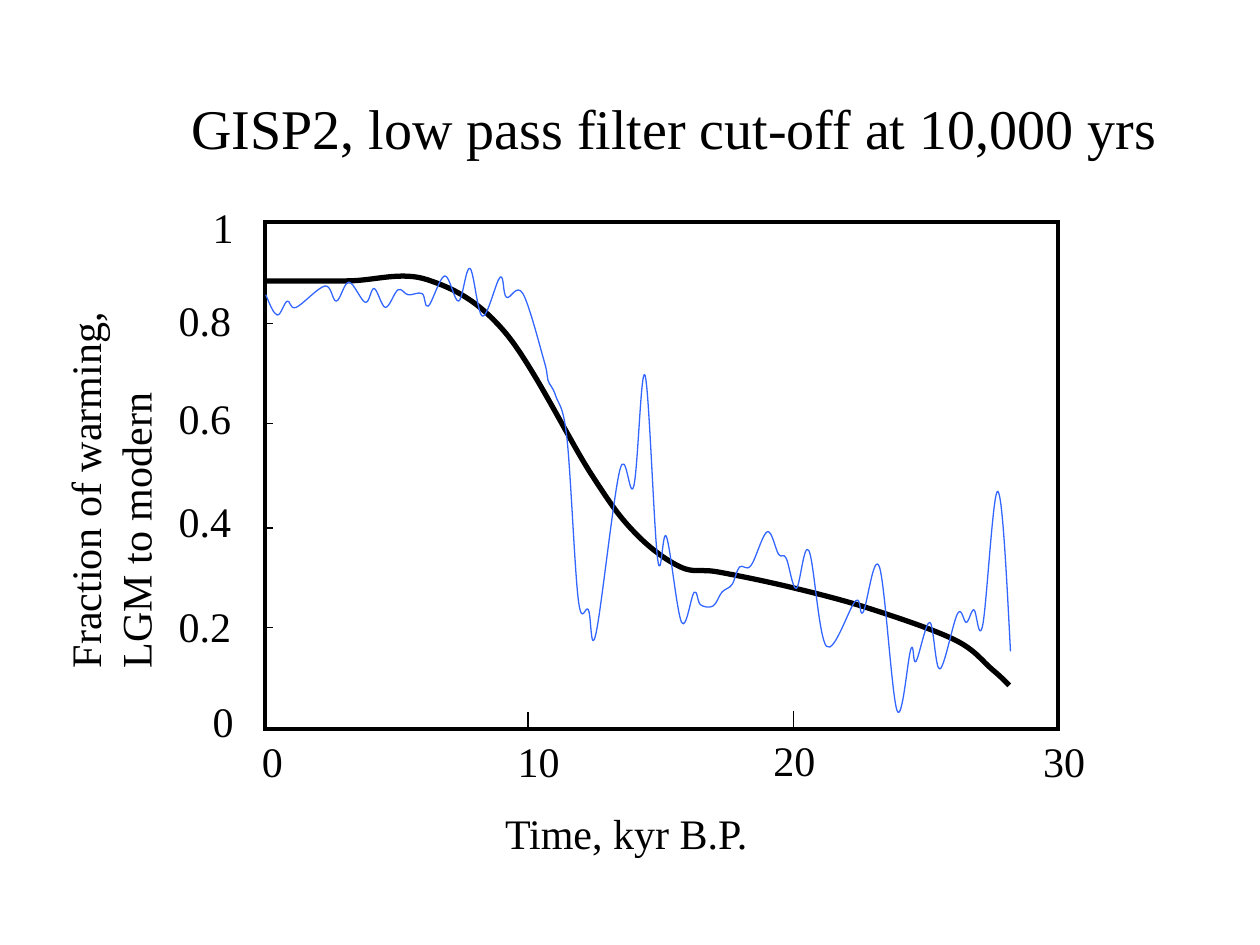
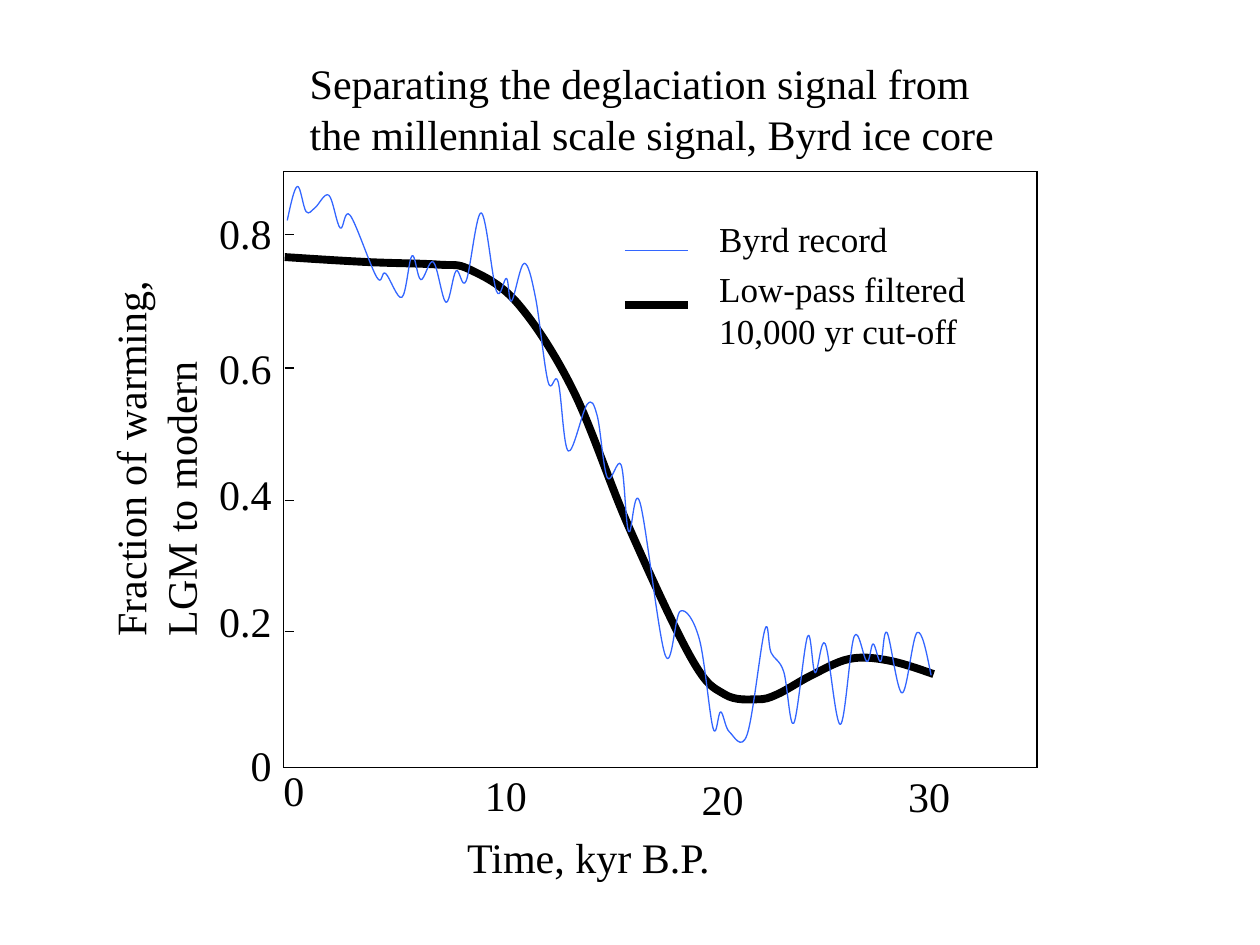
from pptx import Presentation
from pptx.dml.color import RGBColor
from pptx.enum.shapes import MSO_CONNECTOR, MSO_SHAPE
from pptx.enum.text import MSO_AUTO_SIZE
from pptx.oxml.xmlchemy import OxmlElement
from pptx.util import Inches, Pt

COLORS = {"ink": "000000", "record": "3366FF", "paper": "FFFFFF"}
FONT = "Times New Roman"
THIN = 0.75
LABEL_HEIGHT = 0.5
LABEL_WIDTHS = {1: 0.37, 2: 0.54, 3: 0.64}  # by number of characters
FRACTION_TITLE = ["Fraction of warming,", "LGM to modern"]
TIME_TITLE = ["Time, kyr B.P."]

# Curve points in inches on the slide, from oldest to youngest
GISP2_FILTERED = [
    (8.01, 5.44), (7.87, 5.31), (7.58, 5.08), (6.9, 4.83), (6.27, 4.66),
    (5.7, 4.54), (5.4, 4.5), (5.04, 4.23), (4.69, 3.76), (4.01, 2.64),
    (3.39, 2.22), (2.76, 2.23), (2.1, 2.23),
]
GISP2_RECORD = [
    (8.02, 5.17), (7.92, 3.9), (7.8, 4.96), (7.73, 4.84), (7.67, 4.94),
    (7.6, 4.87), (7.46, 5.31), (7.38, 4.94), (7.27, 5.25), (7.23, 5.15),
    (7.12, 5.64), (6.98, 4.5), (6.85, 4.86), (6.79, 4.77), (6.56, 5.13),
    (6.42, 4.37), (6.32, 4.67), (6.24, 4.43), (6.18, 4.4), (6.09, 4.22),
    (5.96, 4.49), (5.87, 4.5), (5.81, 4.64), (5.73, 4.7), (5.66, 4.81),
    (5.56, 4.8), (5.51, 4.7), (5.41, 4.94), (5.29, 4.26), (5.22, 4.44),
    (5.12, 2.98), (5.03, 3.86), (4.92, 3.73), (4.73, 5.03), (4.67, 4.84),
    (4.59, 4.76), (4.5, 3.48), (4.41, 3.14), (4.35, 3.02), (4.32, 2.87),
    (4.15, 2.33), (4.02, 2.36), (3.97, 2.2), (3.83, 2.51), (3.73, 2.13),
    (3.64, 2.39), (3.53, 2.19), (3.4, 2.43), (3.35, 2.33), (3.24, 2.34),
    (3.16, 2.3), (3.06, 2.44), (2.97, 2.29), (2.9, 2.4), (2.77, 2.24),
    (2.67, 2.39), (2.58, 2.27), (2.35, 2.44), (2.28, 2.39), (2.2, 2.5),
    (2.11, 2.34),
]
BYRD_FILTERED = [
    (7.41, 5.35), (7.04, 5.24), (6.74, 5.23), (6.44, 5.36), (6.17, 5.51),
    (6.01, 5.55), (5.75, 5.51), (5.49, 5.23), (4.99, 4.18), (4.55, 3.1),
    (4.11, 2.41), (3.73, 2.14), (3.48, 2.1), (2.92, 2.08), (2.26, 2.04),
]
BYRD_RECORD = [
    (7.39, 5.36), (7.28, 5.02), (7.16, 5.5), (7.04, 5.02), (6.99, 5.25),
    (6.93, 5.11), (6.88, 5.25), (6.78, 5.05), (6.67, 5.75), (6.55, 5.11),
    (6.47, 5.34), (6.41, 5.05), (6.3, 5.74), (6.22, 5.33), (6.12, 5.18),
    (6.07, 5), (5.93, 5.83), (5.79, 5.81), (5.72, 5.65), (5.66, 5.78),
    (5.55, 5.07), (5.4, 4.85), (5.28, 5.2), (5.08, 3.99), (4.99, 4.22),
    (4.93, 3.69), (4.82, 3.79), (4.74, 3.3), (4.66, 3.21), (4.51, 3.58),
    (4.43, 3.03), (4.35, 3.03), (4.25, 2.36), (4.16, 2.09), (4.06, 2.39),
    (4.02, 2.21), (3.94, 2.31), (3.82, 1.69), (3.7, 2.23), (3.62, 2.15),
    (3.54, 2.4), (3.44, 2.08), (3.34, 2.22), (3.27, 2.03), (3.19, 2.36),
    (3.06, 2.17), (2.99, 2.2), (2.78, 1.71), (2.7, 1.81), (2.61, 1.55),
    (2.5, 1.65), (2.43, 1.68), (2.36, 1.48), (2.28, 1.75),
]


def smooth_controls(points):
    """Bezier points after the first: two controls and an end per segment."""
    def control(i, toward):
        (x, y), (x0, y0), (x1, y1) = points[i], points[i - 1], points[i + 1]
        return x + toward * (x1 - x0) / 6, y + toward * (y1 - y0) / 6

    def midpoint(a, b):
        return (a[0] + b[0]) / 2, (a[1] + b[1]) / 2

    last = len(points) - 1
    result = []
    for i in range(last):
        leave = control(i, 1) if i > 0 else None
        arrive = control(i + 1, -1) if i + 1 < last else None
        leave = leave or midpoint(points[i], arrive)
        arrive = arrive or midpoint(points[i + 1], leave)
        result += [leave, arrive, points[i + 1]]
    return result


class FigureDeck:
    def __init__(self):
        self.deck = Presentation()
        self.deck.slide_width, self.deck.slide_height = Inches(10), Inches(7.5)
        self.slide = None

    def new_slide(self):
        self.slide = self.deck.slides.add_slide(self.deck.slide_layouts[6])
        fill = self.slide.background.fill
        fill.solid()
        fill.fore_color.rgb = RGBColor.from_string(COLORS["paper"])

    def stroke(self, line, color, weight):
        line.color.rgb = RGBColor.from_string(COLORS[color])
        line.width = Pt(weight)

    def outline(self, shape, color, weight):
        shape.fill.background()
        shape.shadow.inherit = False
        self.stroke(shape.line, color, weight)

    def frame(self, left, top, width, height, weight):
        plot = self.slide.shapes.add_shape(
            MSO_SHAPE.RECTANGLE, Inches(left), Inches(top), Inches(width), Inches(height))
        self.outline(plot, "ink", weight)
        # Square corners
        miter = OxmlElement("a:miter")
        miter.set("lim", "800000")
        plot._element.xpath("./p:spPr/a:ln")[0].append(miter)

    def curve(self, points, color, weight):
        start, *rest = [(Inches(x), Inches(y))
                        for x, y in [points[0]] + smooth_controls(points)]
        builder = self.slide.shapes.build_freeform(*start)
        builder.add_line_segments(rest, close=False)
        curve = builder.convert_to_shape()
        self.outline(curve, color, weight)
        # Turn each three straight steps into one Bezier segment
        steps = curve._element.xpath(".//a:lnTo")
        for i in range(0, len(steps), 3):
            bezier = OxmlElement("a:cubicBezTo")
            steps[i].addprevious(bezier)
            for step in steps[i:i + 3]:
                bezier.append(step[0])
                step.getparent().remove(step)

    def line(self, x1, y1, x2, y2, color="ink", weight=THIN):
        line = self.slide.shapes.add_connector(
            MSO_CONNECTOR.STRAIGHT, Inches(x1), Inches(y1), Inches(x2), Inches(y2))
        self.stroke(line.line, color, weight)
        line._element.spPr.append(OxmlElement("a:effectLst"))

    def text(self, lines, left, top, width, height, size=24, rotation=0):
        box = self.slide.shapes.add_textbox(
            Inches(left), Inches(top), Inches(width), Inches(height))
        box.rotation = rotation
        frame = box.text_frame
        frame.word_wrap = False
        frame.auto_size = MSO_AUTO_SIZE.SHAPE_TO_FIT_TEXT
        for i, words in enumerate(lines):
            paragraph = frame.add_paragraph() if i else frame.paragraphs[0]
            run = paragraph.add_run()
            run.text = words
            run.font.name, run.font.size = FONT, Pt(size)
            run.font.color.rgb = RGBColor.from_string(COLORS["ink"])

    def axis_labels(self, labels):
        for value, left, top in labels:
            self.text([value], left, top, LABEL_WIDTHS[len(value)], LABEL_HEIGHT)

    def fraction_ticks(self, left, right, heights):
        for y in heights:
            self.line(left, y, right, y)

    def axis_titles(self, fraction_at, time_at):
        self.text(FRACTION_TITLE, *fraction_at, 3.02, 0.9, rotation=270)
        self.text(TIME_TITLE, *time_at, 2.18, LABEL_HEIGHT)


def gisp2_slide(figure):
    figure.new_slide()
    # Plot
    figure.frame(2.1, 1.76, 6.3, 4.03, 2.25)
    figure.curve(GISP2_FILTERED, "ink", 3)
    figure.curve(GISP2_RECORD, "record", THIN)
    # Axes
    for x, bottom in [(4.19, 5.79), (6.3, 5.78)]:
        figure.line(x, bottom - 0.14, x, bottom)
    figure.fraction_ticks(2.11, 2.17, [2.57, 3.36, 4.19, 4.98])
    figure.axis_labels([
        ("0", 1.98, 5.79), ("10", 4.01, 5.79), ("20", 6.04, 5.78), ("30", 8.18, 5.79),
        ("0", 1.59, 5.47), ("1", 1.59, 1.55), ("0.8", 1.32, 2.29),
        ("0.6", 1.32, 3.07), ("0.4", 1.32, 3.88), ("0.2", 1.32, 4.72),
    ])
    figure.axis_titles((-0.64, 3.44), (3.91, 6.36))
    # Title
    figure.text(["GISP2, low pass filter cut-off at 10,000 yrs"],
                1.42, 0.69, 7.88, 0.64, size=32)


def byrd_slide(figure):
    figure.new_slide()
    # Plot
    figure.frame(2.25, 1.36, 5.98, 4.73, THIN)
    figure.curve(BYRD_FILTERED, "ink", 4.5)
    figure.curve(BYRD_RECORD, "record", THIN)
    # Axes
    figure.axis_labels([
        ("0", 2.15, 6.02), ("10", 3.75, 6.06), ("20", 5.47, 6.09), ("30", 7.11, 6.07),
        ("0", 1.89, 5.82), ("0.2", 1.64, 4.68), ("0.4", 1.64, 3.67),
        ("0.6", 1.64, 2.67), ("0.8", 1.64, 1.6),
    ])
    figure.fraction_ticks(2.26, 2.33, [1.86, 2.92, 3.97, 5.01])
    figure.axis_titles((-0.28, 3.19), (3.61, 6.55))
    # Title
    figure.text(["Separating the deglaciation signal from",
                 "the millennial scale signal, Byrd ice core"], 2.36, 0.41, 5.64, 0.9)
    # Legend
    figure.line(4.96, 1.99, 5.46, 1.99, "record")
    figure.line(4.96, 2.42, 5.46, 2.42, weight=4.5)
    figure.text(["Byrd record"], 5.61, 1.68, 1.56, 0.44, size=20)
    figure.text(["Low-pass filtered", "10,000 yr cut-off"], 5.61, 2.07, 2.18, 0.77, size=20)


def main():
    figure = FigureDeck()
    gisp2_slide(figure)
    byrd_slide(figure)
    figure.deck.save("out.pptx")


if __name__ == "__main__":
    main()
